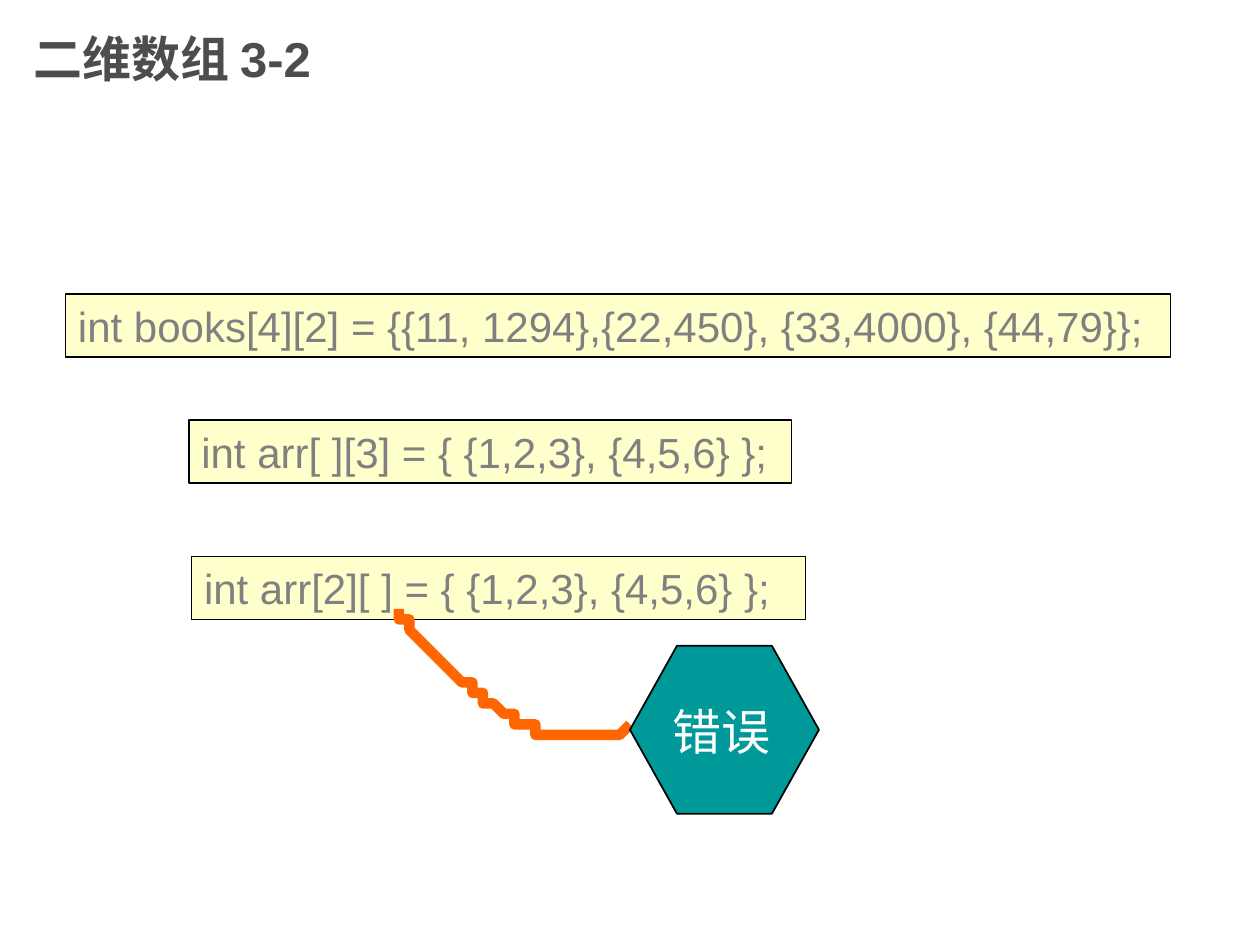
from lxml.etree import fromstring
from pptx import Presentation
from pptx.dml.color import RGBColor as Rgb
from pptx.enum.shapes import MSO_SHAPE as Kind
from pptx.enum.text import MSO_ANCHOR as Anchor, PP_ALIGN as Align
from pptx.util import Inches, Pt

COLORS = {"title": "4D4D4D", "code": "808080", "box": "FFFFCC", "edge": "000000",
          "curve": "FF6600", "error": "009999", "label": "FFFFFF"}
SHADOW = ('<a:effectLst xmlns:a="http://schemas.openxmlformats.org/drawingml/2006/main">'
          '<a:outerShdw dist="35921" dir="2700000" algn="ctr" rotWithShape="0">'
          '<a:srgbClr val="000000"/></a:outerShdw></a:effectLst>')

deck = Presentation()
deck.slide_width, deck.slide_height = Inches(10), Inches(7.5)
slide = deck.slides.add_slide(deck.slide_layouts[6])
shapes = slide.shapes
cell = deck.slide_width / 120


def place(kind, *grid, fill=None, width=0.75):
    shape = shapes.add_shape(kind, *(round(n * cell) for n in grid))
    shape.shadow.inherit = False
    if fill:
        shape.fill.solid()
        shape.fill.fore_color.rgb = Rgb.from_string(COLORS[fill])
        shape.line.color.rgb = Rgb.from_string(COLORS["edge"])
        shape.line.width = Pt(width)
    return shape


def write(shape, text, size, color, align=Align.LEFT, bold=False):
    frame = shape.text_frame
    frame.word_wrap = True
    frame.vertical_anchor = Anchor.MIDDLE
    par = frame.paragraphs[0]
    par.text, par.alignment = text, align
    font = par.font
    font.name, font.size, font.bold = "Arial", Pt(size), bold
    font.color.rgb = Rgb.from_string(COLORS[color])
    return par


title = shapes.add_textbox(*(round(n * cell) for n in (2, 0, 90, 11)))
write(title, "二维数组 3-2", 28, "title", bold=True)

codes = [
    (6.25, 28, 105.25, "int books[4][2] = {{11, 1294},{22,450}, {33,4000}, {44,79}};"),
    (18, 40, 57.4, "int arr[ ][3] = { {1,2,3}, {4,5,6} };"),
    (18.25, 53, 58.5, "int arr[2][ ] = { {1,2,3}, {4,5,6} };"),
]
for left, top, wide, code in codes:
    write(place(Kind.RECTANGLE, left, top, wide, 6, fill="box"), code, 24, "code")

ends = [(37.8, 57.8), (44.6, 67.9), (54.7, 73), (60.1, 69.2)]
steps = 40
dots = []
for step in range(steps + 1):
    t = step / steps
    parts = ((1 - t) ** 3, 3 * t * (1 - t) ** 2, 3 * t * t * (1 - t), t ** 3)
    dots.append([sum(p * end[axis] for p, end in zip(parts, ends)) for axis in (0, 1)])
pen = shapes.build_freeform(*dots[0], scale=cell)
pen.add_line_segments(dots[1:], close=False)
curve = pen.convert_to_shape()
curve.shadow.inherit = False
curve.fill.background()
curve.line.color.rgb = Rgb.from_string(COLORS["curve"])
curve.line.width = Pt(6)

error = place(Kind.HEXAGON, 60, 61.5, 18, 16, fill="error", width=1)
error.adjustments[0] = 0.28
label = shapes.add_textbox(*(round(n * cell) for n in (62.5, 66.25, 12.5, 6.8)))
par = write(label, "错误", 28, "label", Align.CENTER)
label.text_frame.margin_left = label.text_frame.margin_right = 0
par.runs[0].font._element.append(fromstring(SHADOW))

deck.save("out.pptx")
